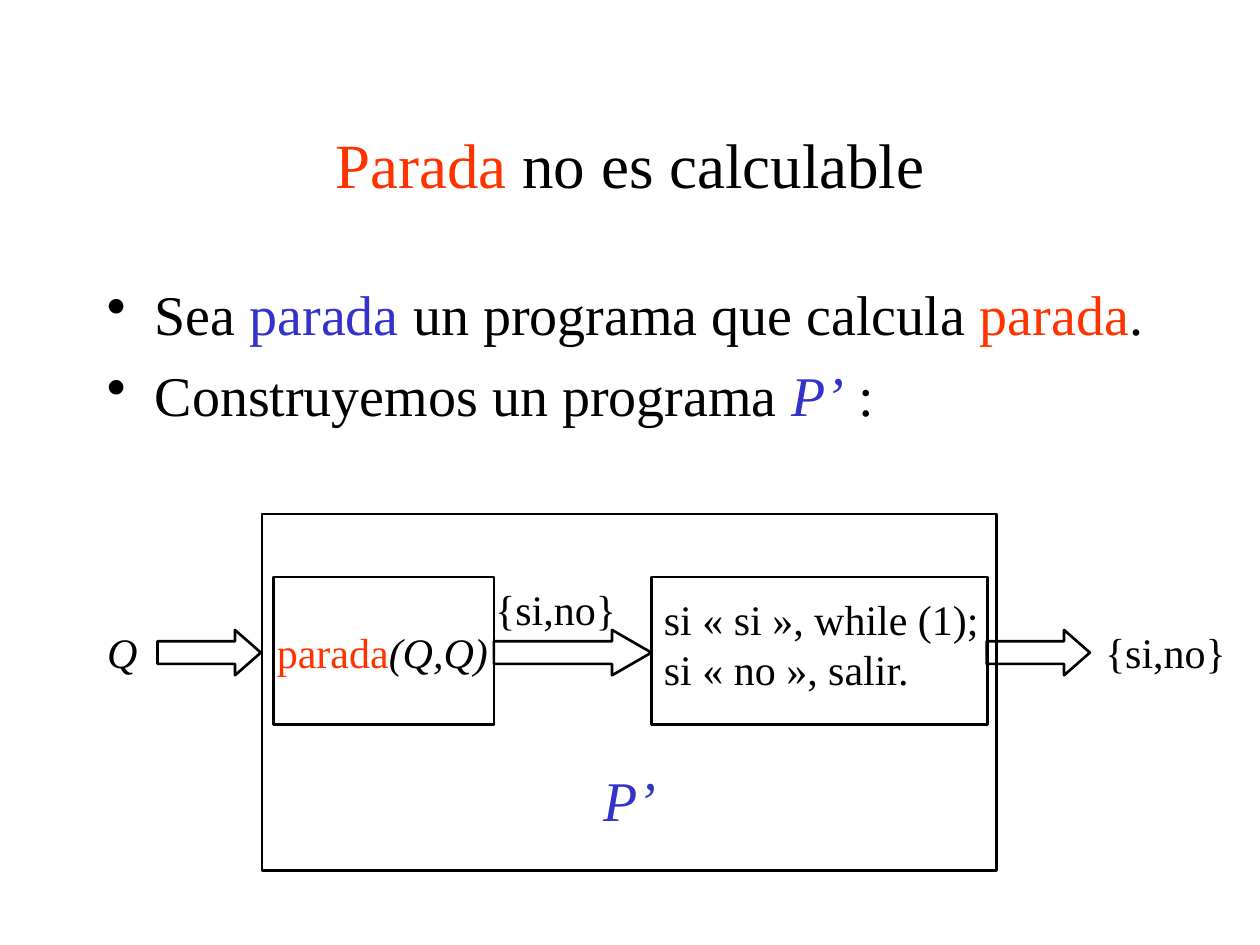
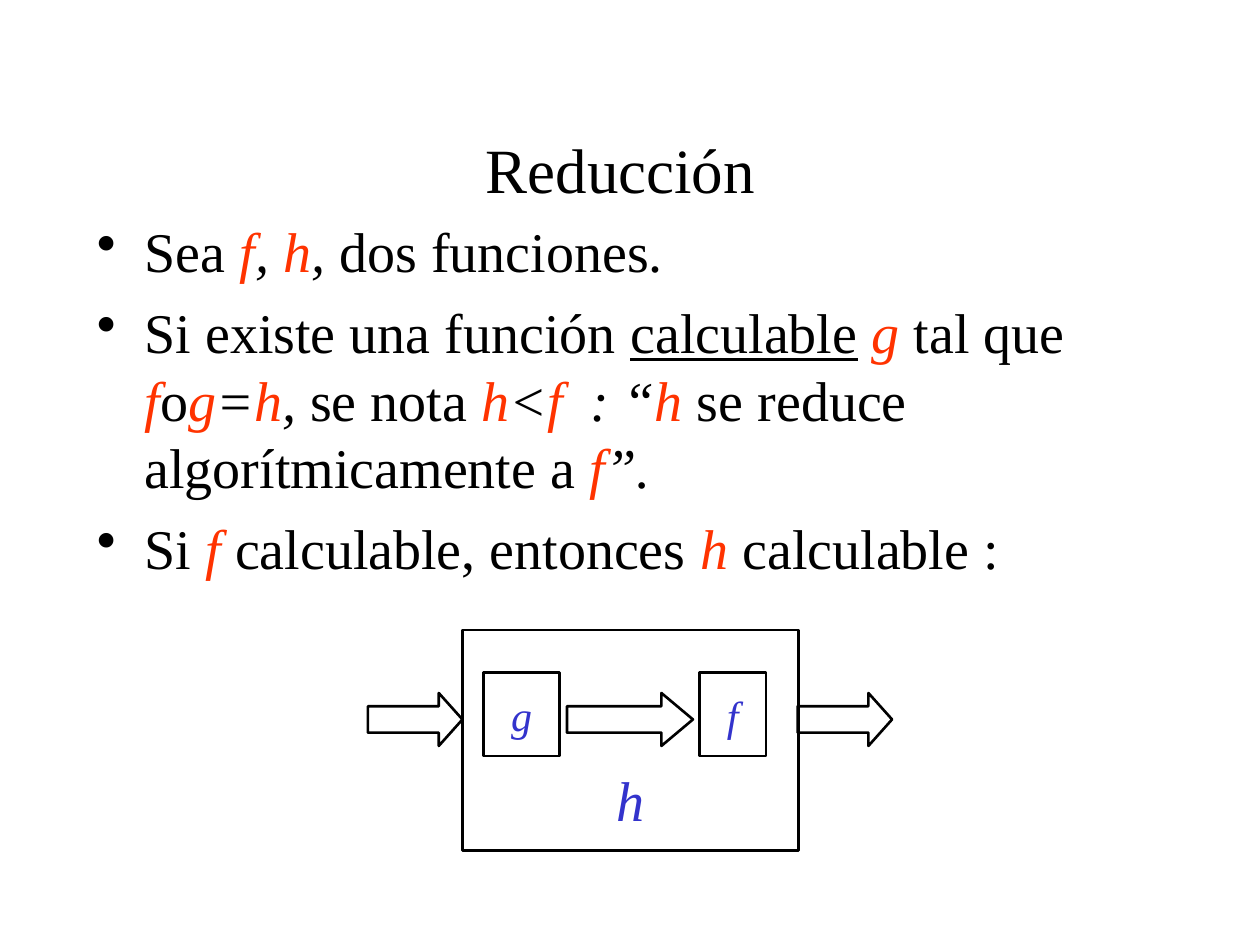
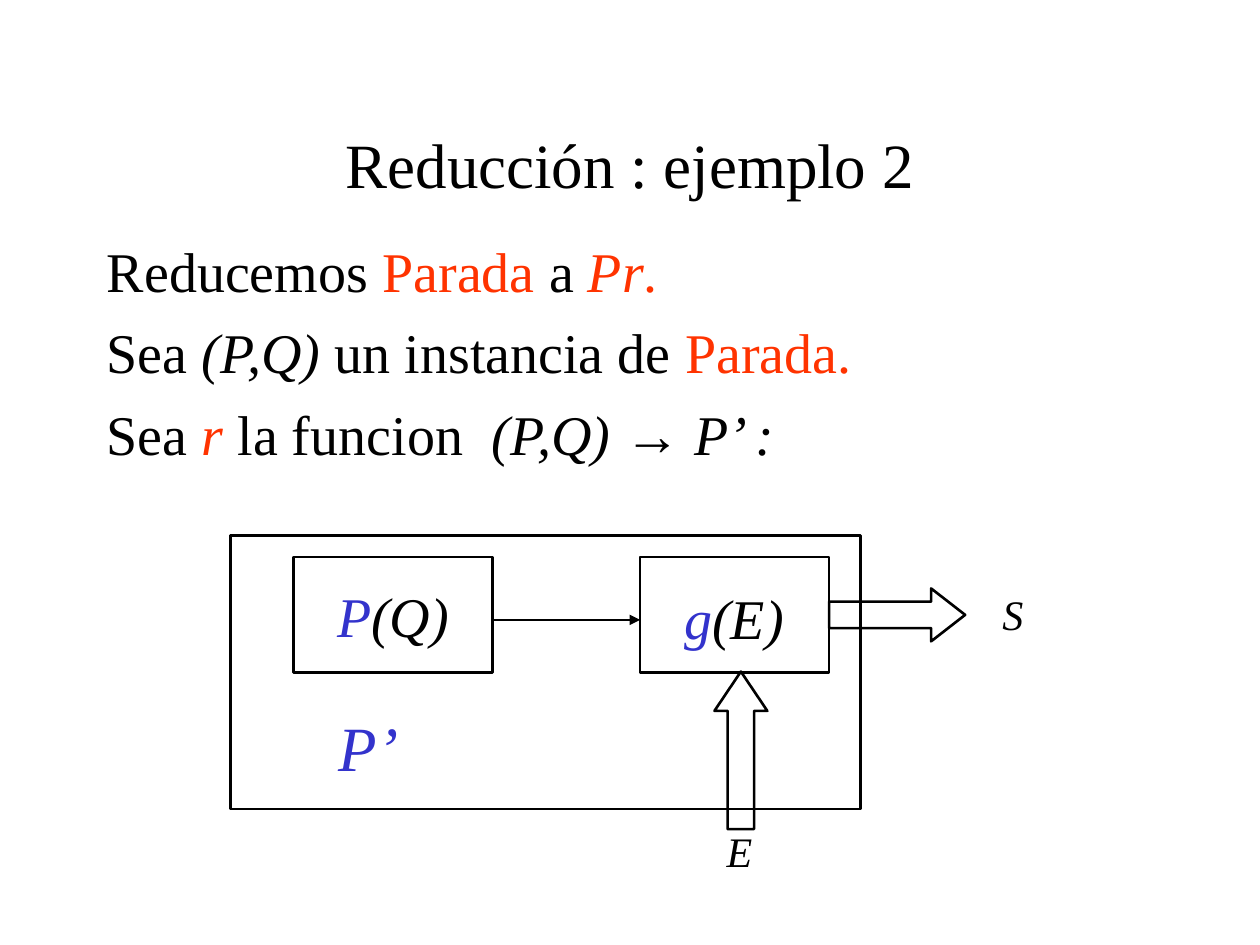
"""Builds three slides on the halting problem and reductions."""
from lxml import etree
from pptx import Presentation
from pptx.dml.color import RGBColor
from pptx.enum.shapes import MSO_CONNECTOR, MSO_SHAPE
from pptx.enum.text import MSO_ANCHOR, MSO_AUTO_SIZE, PP_ALIGN
from pptx.oxml.ns import qn
from pptx.util import Inches, Pt

RECT, RIGHT, UP = MSO_SHAPE.RECTANGLE, MSO_SHAPE.RIGHT_ARROW, MSO_SHAPE.UP_ARROW
STRAIGHT = MSO_CONNECTOR.STRAIGHT
LEFT, CENTER = PP_ALIGN.LEFT, PP_ALIGN.CENTER
TOP, MIDDLE = MSO_ANCHOR.TOP, MSO_ANCHOR.MIDDLE
NO_FIT = MSO_AUTO_SIZE.NONE
FONT, SYMBOL_FONT = "Times New Roman", "Arial"
BLACK, RED, BLUE = "000000", "FF3300", "3333CC"
LINE_WIDTH = Pt(1.5)
TITLE_BOX = (0.75, 0.67, 8.5, 1.25)
INDENT = Inches(0.38)


def rgb(color):
    return RGBColor.from_string(color)


def write(shape, paragraphs, size, align=CENTER, anchor=MIDDLE, wrap=False):
    """Fill a shape with runs; style letters: r red, b blue, i italic, u underline, s symbol."""
    tf = shape.text_frame
    tf.word_wrap, tf.auto_size, tf.vertical_anchor = wrap, NO_FIT, anchor
    for i, runs in enumerate(paragraphs):
        p = tf.add_paragraph() if i else tf.paragraphs[0]
        p.alignment = align
        for text, style in runs:
            r = p.add_run()
            r.text = text
            r.font.name = SYMBOL_FONT if "s" in style else FONT
            r.font.size = Pt(size)
            r.font.italic = "i" in style
            r.font.underline = "u" in style
            r.font.color.rgb = rgb(RED if "r" in style else BLUE if "b" in style else BLACK)


SLIDES = [
    {
        "title": [("Parada", "r"), (" no es calculable", "")],
        "body_box": (0.75, 2.17, 8.5, 4.5),
        "bullets": True,
        "body": [
            [("Sea ", ""), ("parada ", "b"), ("un programa que calcula ", ""), ("parada", "r"), (".", "")],
            [("Construyemos un programa ", ""), ("P’", "bi"), (" :", "")],
        ],
        "boxes": [(2.17, 4.58, 1.75, 1.17), (5.17, 4.58, 2.67, 1.17), (2.08, 4.08, 5.83, 2.83)],
        "arrows": [(RIGHT, (1.25, 5, 0.82, 0.36)), (RIGHT, (3.92, 5, 1.25, 0.36)),
                   (RIGHT, (7.83, 5, 0.82, 0.36))],
        "labels": [
            ((2.1, 4.92, 1.87, 0.5), 24, CENTER, [[("parada", "r"), ("(Q,Q)", "i")]]),
            ((8.67, 4.92, 1.16, 0.5), 24, CENTER, [[("{si,no}", "")]]),
            ((5.17, 4.66, 2.7, 0.9), 24, LEFT,
             [[("si « si », while (1);", "")], [("si « no », salir.", "")]]),
            ((0.75, 4.92, 0.44, 0.5), 24, CENTER, [[("Q", "i")]]),
            ((3.83, 4.58, 1.16, 0.5), 24, CENTER, [[("{si,no}", "")]]),
            ((4.69, 6.02, 0.62, 0.64), 32, CENTER, [[("P’", "bi")]]),
        ],
    },
    {
        "title": [("Reducción", "")],
        "body_box": (0.67, 1.67, 8.5, 3),
        "bullets": True,
        "body": [
            [("Sea", ""), (" f", "ri"), (", ", "i"), ("h", "ri"), (", ", "i"), ("dos funciones.", "")],
            [("Si existe una función ", ""), ("calculable", "u"), (" ", ""), ("g", "ri"),
             (" tal que  ", ""), ("f", "ri"), ("o", ""), ("g", "ri"), ("=", "i"), ("h", "ri"),
             (", ", "i"), ("se nota ", ""), ("h", "ri"), ("<", "i"), ("f", "ri"), ("  : “", "i"),
             ("h ", "ri"), ("se reduce algorítmicamente a ", ""), ("f", "ri"), ("”.", "i")],
            [("Si ", ""), ("f ", "ri"), ("calculable, entonces ", ""), ("h ", "ri"), ("calculable :", "")],
        ],
        "boxes": [(3.84, 5.34, 0.6, 0.66), (3.67, 5, 2.67, 1.75), (5.55, 5.34, 0.53, 0.66)],
        "arrows": [(RIGHT, (2.92, 5.5, 0.75, 0.42)), (RIGHT, (4.5, 5.5, 1, 0.42)),
                   (RIGHT, (6.33, 5.5, 0.75, 0.42))],
        "labels": [
            ((3.84, 5.34, 0.6, 0.66), 24, CENTER, [[("g", "bi")]]),
            ((4.79, 6.02, 0.42, 0.64), 32, CENTER, [[("h", "bi")]]),
            ((5.55, 5.34, 0.53, 0.66), 24, CENTER, [[("f", "bi")]]),
        ],
    },
    {
        "title": [("Reducción : ejemplo 2", "")],
        "body_box": (0.75, 1.83, 8.5, 4.5),
        "bullets": False,
        "body": [
            [("Reducemos ", ""), ("Parada ", "r"), ("a ", ""), ("Pr", "ri"), (".", "r")],
            [("Sea ", ""), ("(P,Q) ", "i"), ("un instancia de ", ""), ("Parada.", "r")],
            [("Sea ", ""), ("r ", "ri"), ("la funcion  ", ""), ("(P,Q) ", "i"), ("→", "is"), (" P’ :", "i")],
        ],
        "boxes": [(2.33, 4.42, 1.58, 0.92), (5.08, 4.42, 1.5, 0.92), (1.83, 4.25, 5, 2.17)],
        "arrows": [(UP, (5.67, 5.33, 0.42, 1.25)), (RIGHT, (6.58, 4.67, 1.08, 0.42))],
        "labels": [
            ((2.33, 4.42, 1.58, 0.92), 32, CENTER, [[("P", "bi"), ("(Q)", "i")]]),
            ((5.33, 4.58, 0.99, 0.64), 32, CENTER, [[("g", "bi"), ("(E)", "i")]]),
            ((5.67, 6.5, 0.4, 0.5), 24, CENTER, [[("E", "i")]]),
            ((7.86, 4.62, 0.36, 0.5), 24, CENTER, [[("S", "i")]]),
            ((2.59, 5.57, 0.67, 0.7), 36, CENTER, [[("P’", "bi")]]),
        ],
    },
]

prs = Presentation()
prs.slide_width, prs.slide_height = Inches(10), Inches(7.5)

for content in SLIDES:
    s = prs.slides.add_slide(prs.slide_layouts[5])
    title = s.shapes.title
    title.left, title.top, title.width, title.height = map(Inches, TITLE_BOX)
    write(title, [content["title"]], 36, wrap=True)

    body = s.shapes.add_textbox(*map(Inches, content["body_box"]))
    write(body, content["body"], 32, LEFT, TOP, wrap=True)
    for p in body.text_frame.paragraphs:
        p.space_before = Pt(8)
        if content["bullets"]:
            pPr = p._p.get_or_add_pPr()
            pPr.set("marL", str(INDENT))
            pPr.set("indent", str(-INDENT))
            etree.SubElement(pPr, qn("a:buChar")).set("char", "•")

    outlines = [(RECT, box) for box in content["boxes"]] + content["arrows"]
    for preset, box in outlines:
        sp = s.shapes.add_shape(preset, *map(Inches, box))
        sp.shadow.inherit = False
        sp.fill.background()
        sp.line.color.rgb = rgb(BLACK)
        sp.line.width = LINE_WIDTH
        if preset != RECT:
            thickness, length = sorted(box[2:])
            sp.adjustments[1] = length / 4 / thickness

    for box, size, align, paragraphs in content["labels"]:
        write(s.shapes.add_textbox(*map(Inches, box)), paragraphs, size, align)

r = prs.slides[1].shapes.title.text_frame.paragraphs[0].add_run()
r.text = " "
r.font.name, r.font.size = FONT, Pt(44)

link = prs.slides[2].shapes.add_connector(STRAIGHT, *map(Inches, (3.92, 4.92, 5.08, 4.92)))
link.line.color.rgb = rgb(BLACK)
link.line.width = LINE_WIDTH
etree.SubElement(link.line._get_or_add_ln(), qn("a:tailEnd")).set("type", "triangle")
etree.SubElement(link._element.spPr, qn("a:effectLst"))

prs.save("out.pptx")
